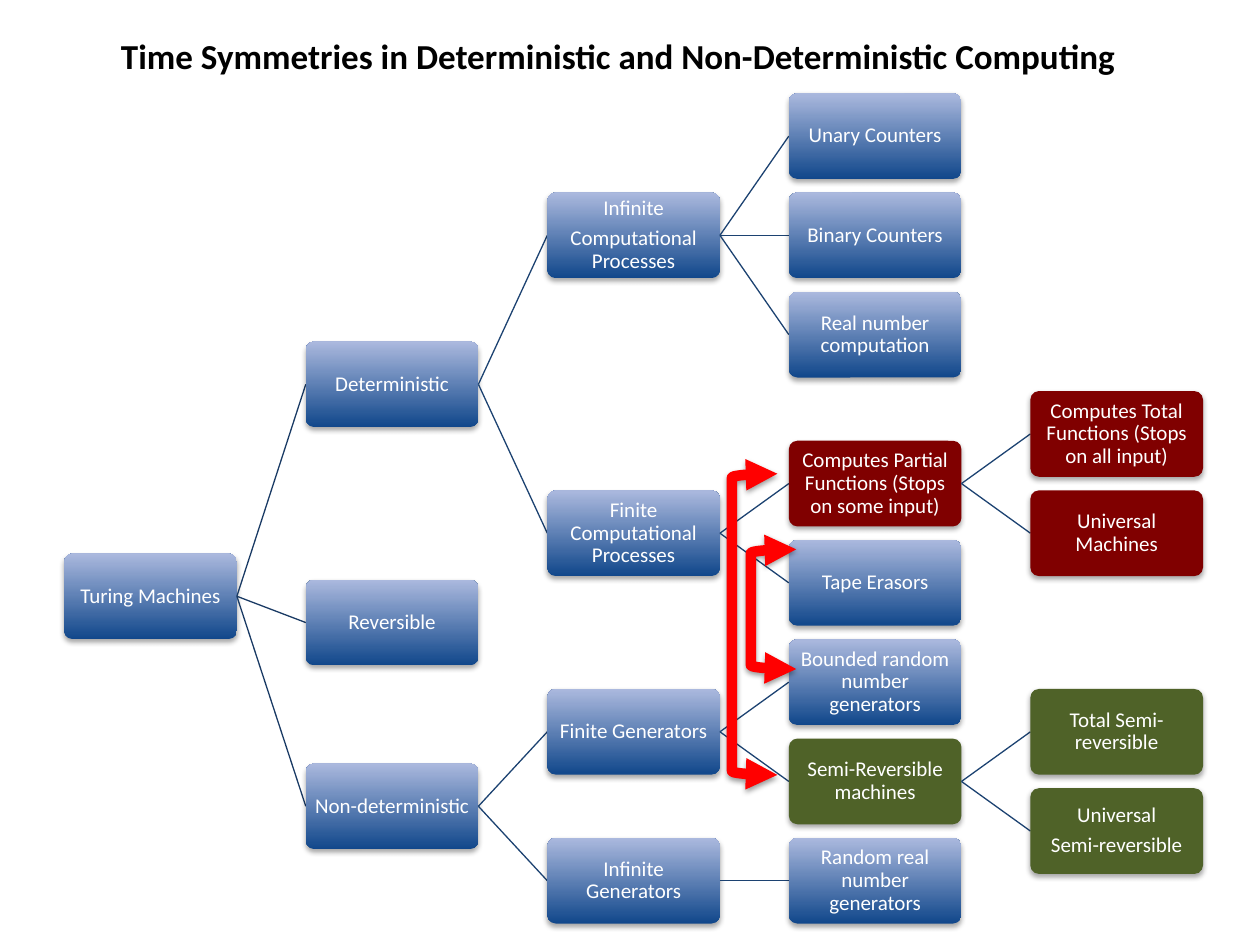
import pptx
import pptx.util
import pptx.dml.color
import pptx.enum.shapes
import pptx.enum.text
import pptx.oxml
from pptx.util import Inches, Pt

NS = 'xmlns:a="http://schemas.openxmlformats.org/drawingml/2006/main"'
BLUE, RED, GREEN = "blue", "800000", "4F6228"
COLUMN_LEFT, COLUMN_STEP = 0.51, 1.917
ROW_TOP, ROW_STEP = 0.74, 0.394
BOX_WIDTH, BOX_HEIGHT = 1.37, 0.68


def color(hex_code):
    return pptx.dml.color.RGBColor.from_string(hex_code)


def add_shadow(shape, opacity, distance):
    shape.shadow.inherit = False
    effects = shape._element.spPr.find(pptx.oxml.ns.qn("a:effectLst"))
    effects.append(pptx.oxml.parse_xml(
        f'<a:outerShdw {NS} blurRad="{Pt(3.1)}" dist="{Pt(distance)}" dir="5400000" rotWithShape="0">'
        f'<a:srgbClr val="000000"><a:alpha val="{opacity * 1000}"/></a:srgbClr></a:outerShdw>'))


deck = pptx.Presentation()
deck.slide_width, deck.slide_height = Inches(10), Inches(7.5)
slide = deck.slides.add_slide(deck.slide_layouts[5])

# key, parent, column, row, fill, text
machines = [
    ("turing", None, 0, 9.27, BLUE, "Turing Machines"),
    ("deterministic", "turing", 1, 5, BLUE, "Deterministic"),
    ("infinite", "deterministic", 2, 2, BLUE, "Infinite\nComputational Processes"),
    ("unary", "infinite", 3, 0, BLUE, "Unary Counters"),
    ("binary", "infinite", 3, 2, BLUE, "Binary Counters"),
    ("real", "infinite", 3, 4, BLUE, "Real number computation"),
    ("finite", "deterministic", 2, 8, BLUE, "Finite Computational Processes"),
    ("partial", "finite", 3, 7, RED, "Computes Partial Functions (Stops on some input)"),
    ("total", "partial", 4, 6, RED, "Computes Total Functions (Stops on all input)"),
    ("universal", "partial", 4, 8, RED, "Universal Machines"),
    ("erasors", "finite", 3, 9, BLUE, "Tape Erasors"),
    ("reversible", "turing", 1, 9.8, BLUE, "Reversible"),
    ("random", "turing", 1, 13.5, BLUE, "Non-deterministic"),
    ("finite generators", "random", 2, 12, BLUE, "Finite Generators"),
    ("bounded", "finite generators", 3, 11, BLUE, "Bounded random number generators"),
    ("semi", "finite generators", 3, 13, GREEN, "Semi-Reversible machines"),
    ("total semi", "semi", 4, 12, GREEN, "Total Semi-reversible"),
    ("universal semi", "semi", 4, 14, GREEN, "Universal\nSemi-reversible"),
    ("infinite generators", "random", 2, 15, BLUE, "Infinite Generators"),
    ("random real", "infinite generators", 3, 15, BLUE, "Random real number generators"),
]

branch_points = {}
for key, parent, column, row, fill, text in machines:
    left = COLUMN_LEFT + column * COLUMN_STEP
    top = ROW_TOP + row * ROW_STEP
    middle = top + BOX_HEIGHT / 2
    branch_points[key] = (left + BOX_WIDTH, middle)

    if parent:
        start_x, start_y = branch_points[parent]
        branch = slide.shapes.add_connector(
            pptx.enum.shapes.MSO_CONNECTOR.STRAIGHT,
            Inches(start_x), Inches(start_y), Inches(left), Inches(middle))
        branch.line.width = Pt(0.75)
        branch.line.color.rgb = color("193A64" if parent == "turing" else "1C4271")
        branch._element.spPr.append(pptx.oxml.parse_xml(f"<a:effectLst {NS}/>"))

    machine = slide.shapes.add_shape(
        pptx.enum.shapes.MSO_SHAPE.ROUNDED_RECTANGLE,
        Inches(left), Inches(top), Inches(BOX_WIDTH), Inches(BOX_HEIGHT))
    machine.adjustments[0] = 0.1
    machine.line.fill.background()
    if fill == BLUE:
        machine.fill.gradient()
        machine.fill.gradient_angle = 90
        for stop, position, shade in zip(machine.fill.gradient_stops, (0, 1), ("11478B", "ABB9DE")):
            stop.position = position
            stop.color.rgb = color(shade)
    else:
        machine.fill.solid()
        machine.fill.fore_color.rgb = color(fill)
    add_shadow(machine, 35, 1.8)

    label = machine.text_frame
    label.word_wrap = True
    label.vertical_anchor = pptx.enum.text.MSO_ANCHOR.MIDDLE
    label.margin_left = label.margin_right = Inches(0.03)
    label.margin_top = label.margin_bottom = Inches(0.03)
    label.text = text
    for paragraph in label.paragraphs:
        paragraph.alignment = pptx.enum.text.PP_ALIGN.CENTER
        paragraph.line_spacing = 0.9
        paragraph.space_after = Pt(4.2)
        paragraph.font.name = "Calibri"
        paragraph.font.size = Pt(12)
        paragraph.font.color.rgb = color("FFFFFF")

for left, top, height in [(5.96, 4.36, 0.95), (5.81, 3.76, 2.39)]:
    symmetry = slide.shapes.add_shape(
        pptx.enum.shapes.MSO_SHAPE.LEFT_BRACKET,
        Inches(left), Inches(top), Inches(0.36), Inches(height))
    symmetry.fill.background()
    symmetry.line.width = Pt(6)
    symmetry.line.color.rgb = color("FF0000")
    for end in ("headEnd", "tailEnd"):
        symmetry.line._get_or_add_ln().append(pptx.oxml.parse_xml(f'<a:{end} {NS} type="triangle"/>'))
    add_shadow(symmetry, 38, 1.6)

title = slide.shapes.title
title.left, title.top, title.width, title.height = Inches(0.86), Inches(0.22), Inches(8.18), Inches(0.44)
heading = title.text_frame
heading.text = "Time Symmetries in Deterministic and Non-Deterministic Computing"
heading.word_wrap = False
heading.auto_size = pptx.enum.text.MSO_AUTO_SIZE.NONE
heading.vertical_anchor = pptx.enum.text.MSO_ANCHOR.TOP
heading.paragraphs[0].alignment = pptx.enum.text.PP_ALIGN.LEFT
heading_font = heading.paragraphs[0].runs[0].font
heading_font.name = "Calibri"
heading_font.size = Pt(20)
heading_font.bold = True
heading_font.color.rgb = color("000000")

deck.save("out.pptx")
